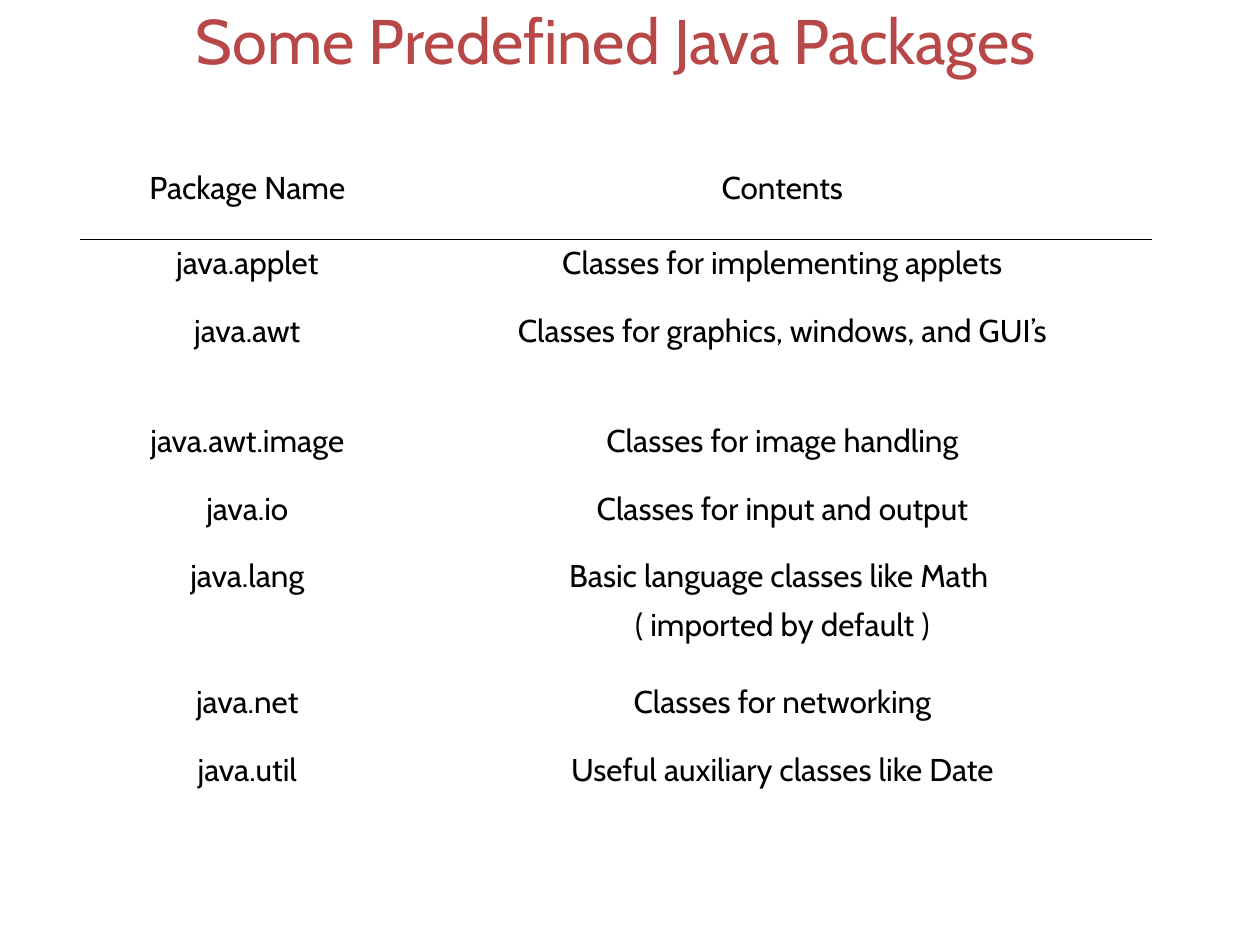
from lxml.etree import SubElement
from pptx import Presentation
from pptx.dml.color import RGBColor
from pptx.enum.text import MSO_ANCHOR, PP_ALIGN
from pptx.oxml import parse_xml
from pptx.oxml.ns import nsdecls
from pptx.util import Cm, Pt

FONT = "Cabin"
TITLE = "Some Predefined Java Packages"
COL_WIDTHS = (6.71, 14.86)
TITLE_HEIGHT = 3.3
ROWS = [
    ("Package Name", "Contents", 1.52),
    ("java.applet", "Classes for implementing applets", 1.37),
    ("java.awt", "Classes for graphics, windows, and GUI’s", 2.21),
    ("java.awt.image", "Classes for image handling", 1.37),
    ("java.io", "Classes for input and output", 1.37),
    ("java.lang", "Basic language classes like Math \n( imported by default )", 2.54),
    ("java.net", "Classes for networking", 1.37),
    ("java.util", "Useful auxiliary classes like Date", 1.37),
]
# Row order above gives the 0.54, 0.87 and 1 inch rows their place.
PARAGRAPH = {"alignment": PP_ALIGN.CENTER, "line_spacing": 0.94, "space_before": Pt(7)}
CELL = {
    "margin_left": Cm(0.23),
    "margin_right": Cm(0.23),
    "margin_top": Cm(0.13),
    "margin_bottom": Cm(0.13),
    "vertical_anchor": MSO_ANCHOR.TOP,
}


def rgb(value):
    """Return the colour for a hex string."""
    return RGBColor.from_string(value)


def set_attrs(obj, values):
    """Set each attribute in values on obj."""
    for name, value in values.items():
        setattr(obj, name, value)


def fill_cell(cell, text, size=18, color="000000"):
    """Write centred text into an unfilled cell."""
    cell.fill.background()
    set_attrs(cell, CELL)
    tf = cell.text_frame
    tf.text = text
    for p in tf.paragraphs:
        set_attrs(p, PARAGRAPH)
        for r in p.runs:
            set_attrs(r.font, {"name": FONT, "size": Pt(size), "bold": False})
            r.font.color.rgb = rgb(color)


def add_border(cell, side, color="000000", width=0.23):
    """Draw one edge of a cell, side being T or B."""
    ln = parse_xml(f'<a:ln{side} {nsdecls("a")} w="{Pt(width)}"/>')
    namespace = ln.tag.split("}")[0] + "}"
    fill = SubElement(ln, namespace + "solidFill")
    SubElement(fill, namespace + "srgbClr", val=color)
    cell._tc.get_or_add_tcPr().insert(0, ln)


def add_package_table(s):
    """Add the table with its title row, header and packages."""
    heights = [TITLE_HEIGHT] + [height for _, _, height in ROWS]
    frame = s.shapes.add_table(
        len(heights), len(COL_WIDTHS), Cm(1.63), Cm(0), Cm(sum(COL_WIDTHS)), Cm(sum(heights))
    )
    table = frame.table
    set_attrs(table, {"first_row": False, "horz_banding": False})
    for column, width in zip(table.columns, COL_WIDTHS):
        column.width = Cm(width)
    for row, height in zip(table.rows, heights):
        row.height = Cm(height)

    table.cell(0, 0).merge(table.cell(0, 1))
    fill_cell(table.cell(0, 0), TITLE, 36, "B84747")
    for i, (name, contents, _) in enumerate(ROWS, 1):
        for j, text in enumerate((name, contents)):
            fill_cell(table.cell(i, j), text)
    for j in range(len(COL_WIDTHS)):
        add_border(table.cell(1, j), "B")
        add_border(table.cell(2, j), "T")


def main():
    """Build and save the slide."""
    prs = Presentation()
    set_attrs(prs, {"slide_width": Cm(25.4), "slide_height": Cm(19.05)})
    s = prs.slides.add_slide(prs.slide_layouts[6])
    add_package_table(s)
    prs.save("out.pptx")


if __name__ == "__main__":
    main()
